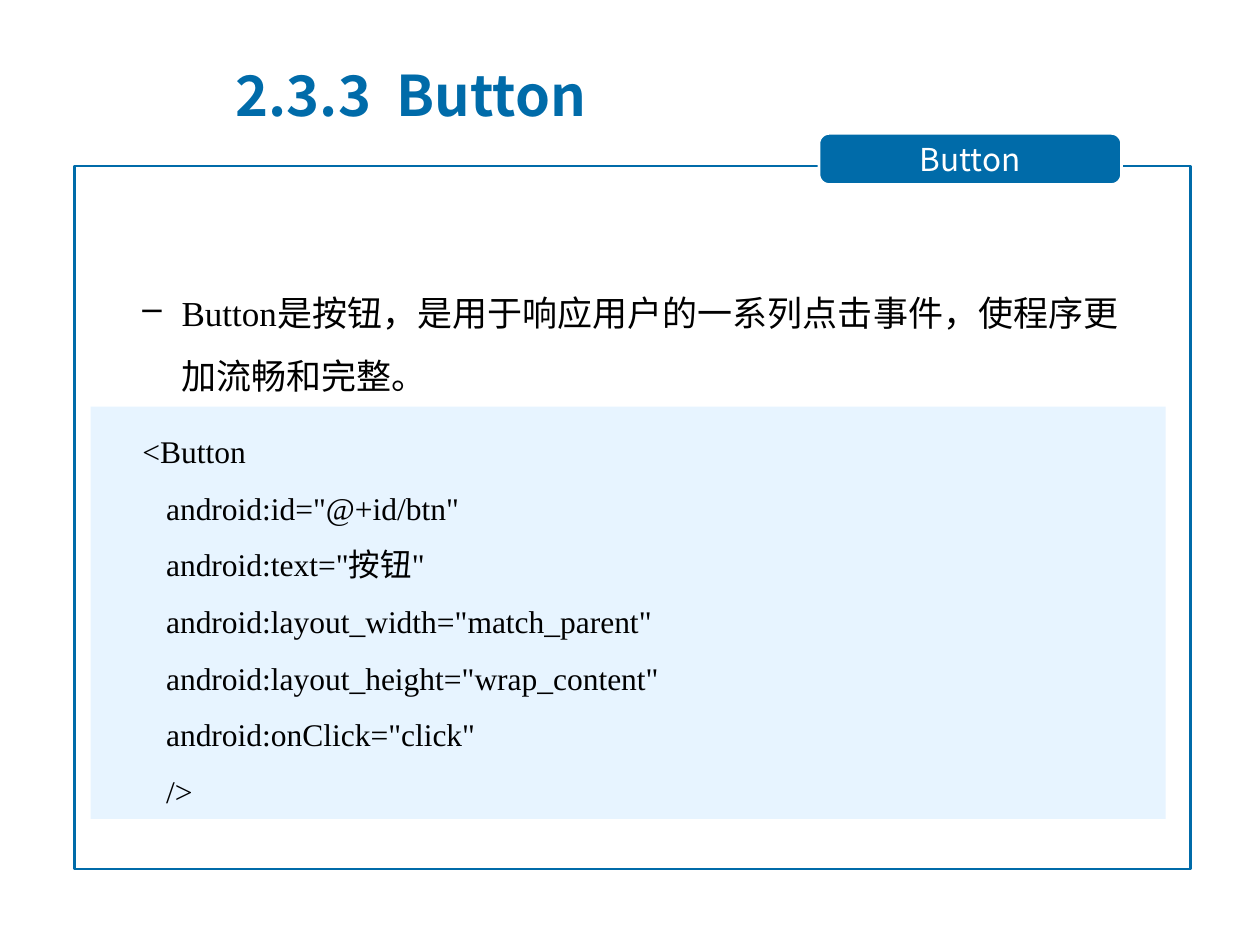
from dataclasses import dataclass

from lxml import etree
from pptx import Presentation
from pptx import util as u
from pptx.dml.color import RGBColor
from pptx.enum import shapes, text
from pptx.oxml import ns

BLUE, PALE_BLUE, WHITE, BLACK = "006BA9", "E7F4FF", "FFFFFF", "000000"
SANS, SERIF, BODY = "Noto Sans CJK SC", "Times New Roman", "Calibri"

CODE = """\
     <Button
        android:id="@+id/btn"
        android:text="按钮"
        android:layout_width="match_parent"
        android:layout_height="wrap_content"
        android:onClick="click"
        />"""


@dataclass
class Box:
    """Left, top, width and height in centimetres."""
    left: float
    top: float
    width: float
    height: float

    def lengths(self) -> list:
        return [u.Cm(n) for n in (self.left, self.top, self.width, self.height)]


@dataclass
class Style:
    size: float
    font: str
    color: str = BLACK
    bold: bool = False


def rgb(color: str) -> RGBColor:
    return RGBColor.from_string(color)


def add_panel(slide, kind, box: Box, fill: str = "", line: str = ""):
    shape = slide.shapes.add_shape(kind, *box.lengths())
    shape.shadow.inherit = False
    if fill:
        shape.fill.solid()
        shape.fill.fore_color.rgb = rgb(fill)
    else:
        shape.fill.background()
    if line:
        shape.line.color.rgb = rgb(line)
        shape.line.width = u.Pt(1.5)
    else:
        shape.line.fill.background()
    return shape


def add_text_box(slide, box: Box, anchor):
    shape = slide.shapes.add_textbox(*box.lengths())
    shape.text_frame.word_wrap = True
    shape.text_frame.vertical_anchor = anchor
    return shape


def add_run(paragraph, words: str, style: Style) -> None:
    run = paragraph.add_run()
    run.text = words
    run.font.size = u.Pt(style.size)
    run.font.name = style.font
    run.font.bold = style.bold
    run.font.color.rgb = rgb(style.color)
    east_asian = etree.SubElement(run.font._element, ns.qn("a:ea"))
    east_asian.set("typeface", SANS)


def set_indent(paragraph, left: float, first: float, bullet: str = "") -> None:
    """Set the left margin and first-line indent in centimetres."""
    properties = paragraph._p.get_or_add_pPr()
    properties.set("marL", str(u.Cm(left)))
    properties.set("indent", str(u.Cm(first)))
    if bullet:
        etree.SubElement(properties, ns.qn("a:buChar")).set("char", bullet)


def add_tab(slide) -> None:
    tab = add_panel(slide, shapes.MSO_SHAPE.ROUNDED_RECTANGLE,
                    Box(16.51, 2.69, 6.1, 1.03), BLUE, WHITE)
    tab.adjustments[0] = 0.2
    frame = tab.text_frame
    frame.vertical_anchor = text.MSO_ANCHOR.MIDDLE
    frame.margin_left = frame.margin_right = u.Cm(0.6)
    frame.margin_top = frame.margin_bottom = u.Cm(0.15)
    paragraph = frame.paragraphs[0]
    paragraph.alignment = text.PP_ALIGN.CENTER
    add_run(paragraph, "Button", Style(18, SANS, WHITE))


def add_description(slide) -> None:
    box = add_text_box(slide, Box(1.35, 5.33, 22.15, 2.82), text.MSO_ANCHOR.TOP)
    paragraph = box.text_frame.paragraphs[0]
    paragraph.level = 1
    paragraph.line_spacing = 1.5
    set_indent(paragraph, 2.06, -0.79, "–")
    add_run(paragraph, "Button是按钮，", Style(20, SERIF))
    add_run(paragraph, "是用于响应用户的一系列点击事件，使程序更加流畅和完整。",
            Style(20, BODY))


def add_code(slide) -> None:
    panel = add_panel(slide, shapes.MSO_SHAPE.RECTANGLE,
                      Box(1.83, 8.2, 21.67, 8.31), PALE_BLUE)
    frame = panel.text_frame
    frame.word_wrap = True
    frame.vertical_anchor = text.MSO_ANCHOR.TOP
    for index, line in enumerate(CODE.splitlines()):
        paragraph = frame.add_paragraph() if index else frame.paragraphs[0]
        paragraph.alignment = text.PP_ALIGN.LEFT
        paragraph.line_spacing = 1.5
        add_run(paragraph, line, Style(18, SERIF))


def add_title(slide) -> None:
    box = add_text_box(slide, Box(4.5, 1.12, 19.61, 1.55), text.MSO_ANCHOR.MIDDLE)
    paragraph = box.text_frame.paragraphs[0]
    set_indent(paragraph, 1.57, -1.57)
    add_run(paragraph, "2.3.3  Button", Style(32, SANS, BLUE, True))


def main() -> None:
    presentation = Presentation()
    presentation.slide_width = u.Cm(25.4)
    presentation.slide_height = u.Cm(19.05)
    slide = presentation.slides.add_slide(presentation.slide_layouts[6])
    add_panel(slide, shapes.MSO_SHAPE.RECTANGLE,
              Box(1.5, 3.35, 22.5, 14.17), line=BLUE)
    add_tab(slide)
    add_description(slide)
    add_code(slide)
    add_title(slide)
    presentation.save("out.pptx")


if __name__ == "__main__":
    main()
